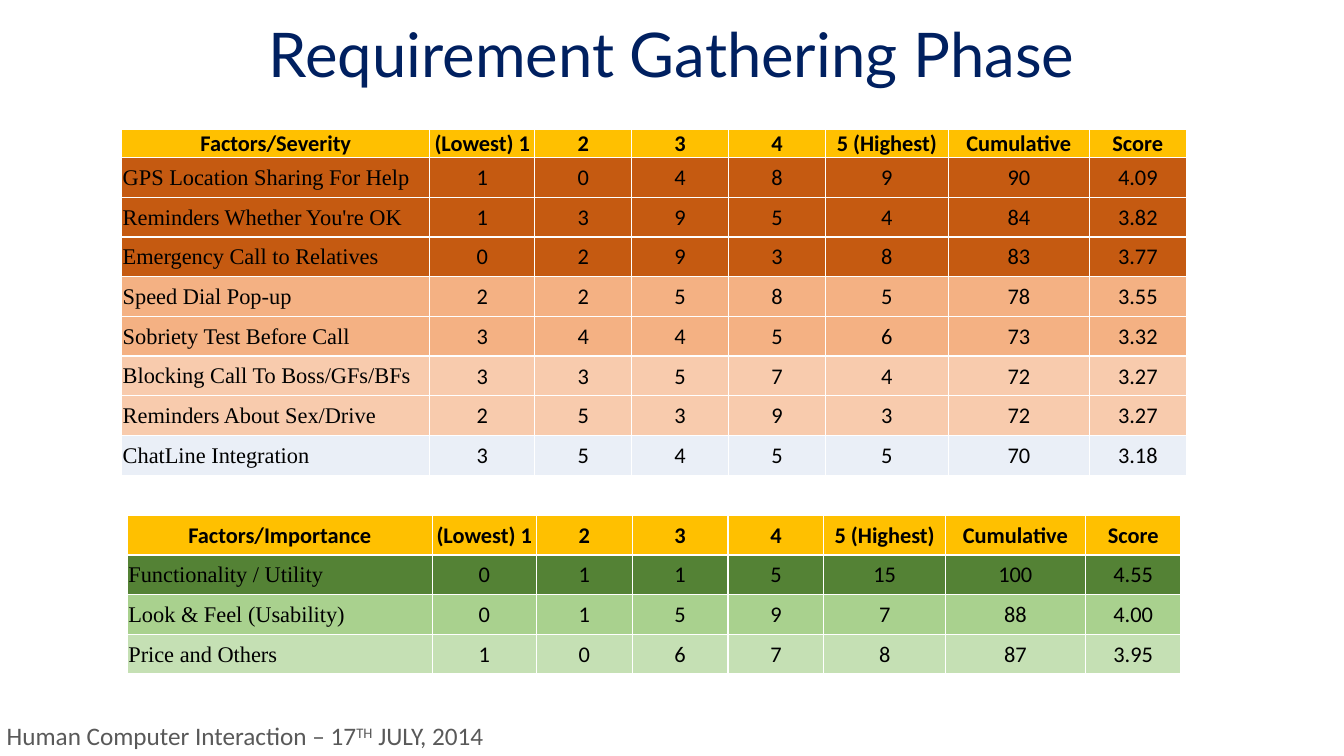
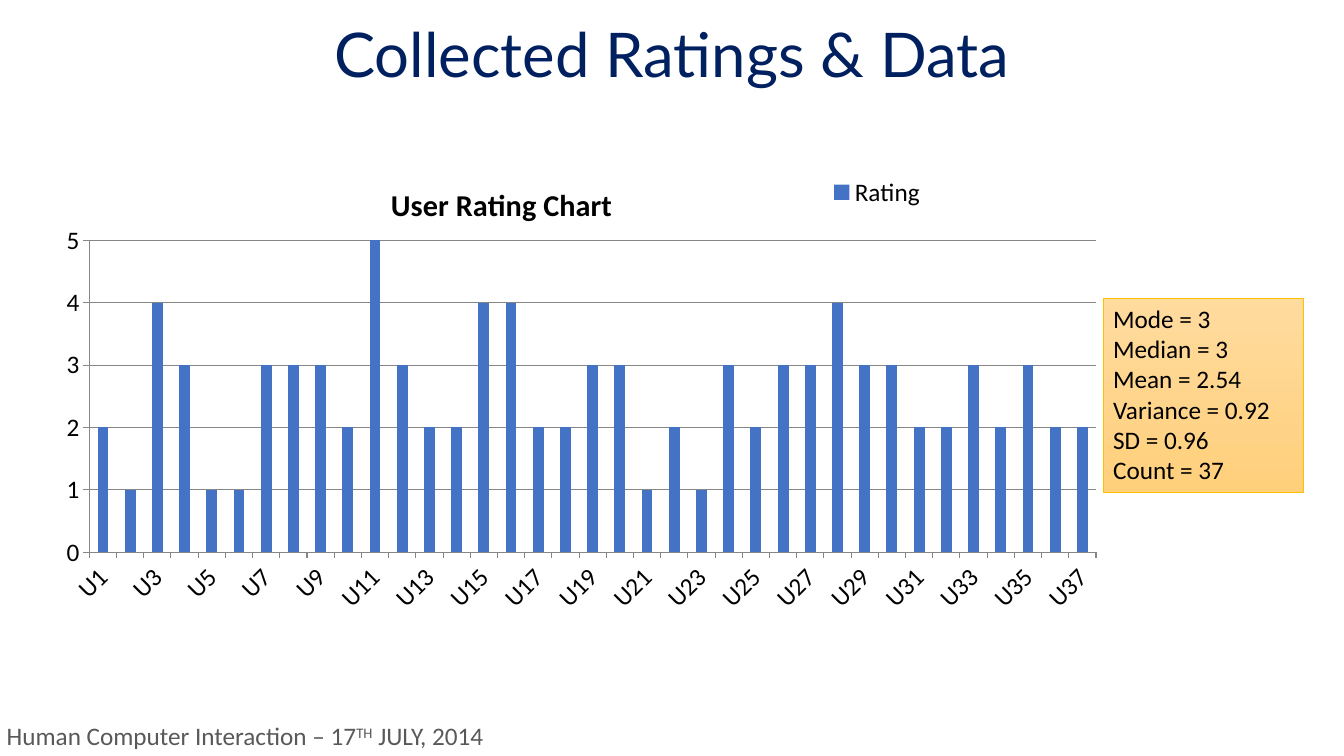
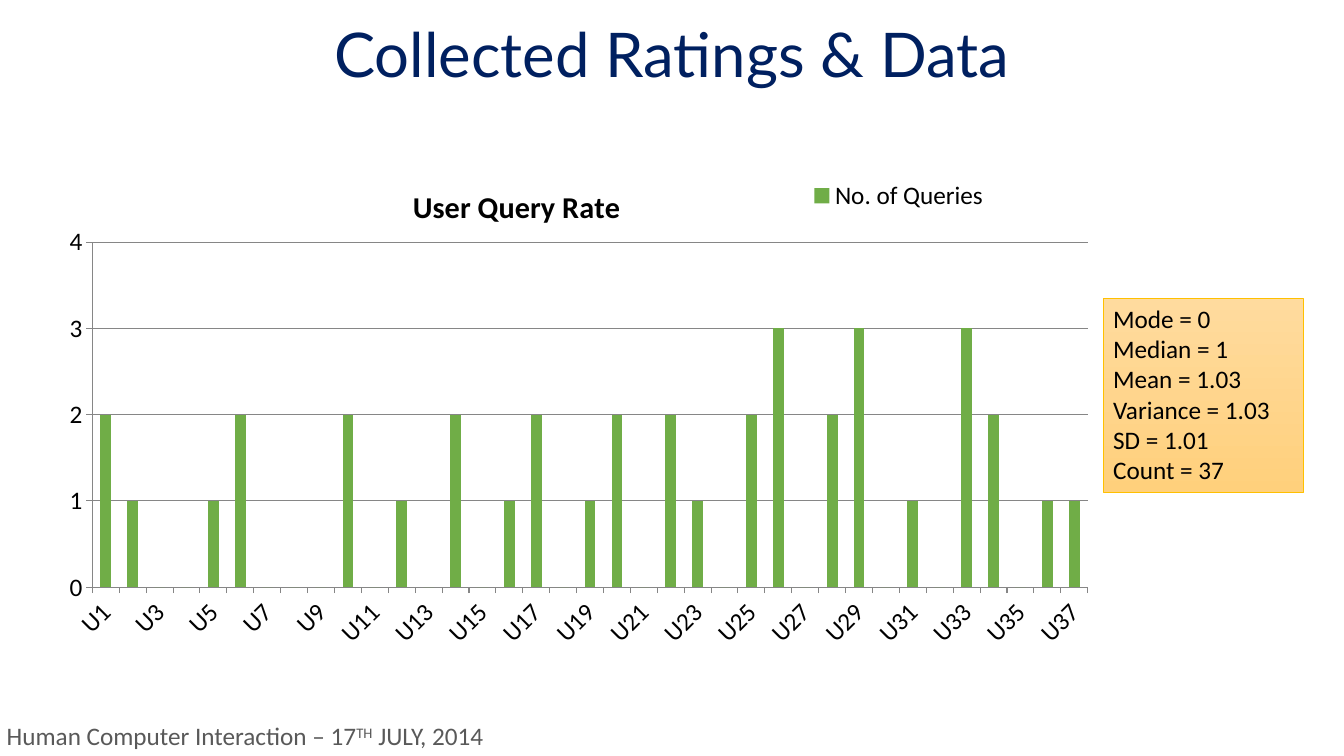
from lxml import etree
from pptx import Presentation
from pptx.chart import data as chart_data
from pptx.dml import color as dml
from pptx.enum import chart as kinds, shapes, text
from pptx.oxml import ns
from pptx.util import Pt

NAVY, GREY, BLACK, WHITE = "002060", "595959", "000000", "FFFFFF"
GOLD, AXIS_GREY = "FFC000", "868686"
BODY, TITLE, SERIF = "Calibri", "Lato", "Times New Roman"
COLUMN_WIDTHS = [220, 75, 69.2, 69.2, 69.2, 87.8, 100.8, 69.2]
SCALE_HEADS = ["(Lowest) 1", "2", "3", "4", "5 (Highest)", "Cumulative", "Score"]
STAT_NAMES = ["Mode", "Median", "Mean", "Variance", "SD", "Count"]
CENTER, LEFT = text.PP_ALIGN.CENTER, text.PP_ALIGN.LEFT

SEVERITY = [
    ("C55A11", "GPS Location Sharing For Help", "1 0 4 8 9 90 4.09"),
    ("C55A11", "Reminders Whether You're OK", "1 3 9 5 4 84 3.82"),
    ("C55A11", "Emergency Call to Relatives", "0 2 9 3 8 83 3.77"),
    ("F4B183", "Speed Dial Pop-up", "2 2 5 8 5 78 3.55"),
    ("F4B183", "Sobriety Test Before Call", "3 4 4 5 6 73 3.32"),
    ("F8CBAD", "Blocking Call To Boss/GFs/BFs", "3 3 5 7 4 72 3.27"),
    ("F8CBAD", "Reminders About Sex/Drive", "2 5 3 9 3 72 3.27"),
    ("EAEFF7", "ChatLine Integration", "3 5 4 5 5 70 3.18"),
]
IMPORTANCE = [
    ("548235", "Functionality / Utility", "0 1 1 5 15 100 4.55"),
    ("A9D18E", "Look & Feel (Usability)", "0 1 5 9 7 88 4.00"),
    ("C5E0B4", "Price and Others", "1 0 6 7 8 87 3.95"),
]
RATINGS = [2, 1, 4, 3, 1, 1, 3, 3, 3, 2, 5, 3, 2, 2, 4, 4, 2, 2, 3,
           3, 1, 2, 1, 3, 2, 3, 3, 4, 3, 3, 2, 2, 3, 2, 3, 2, 2]
QUERIES = [2, 1, 0, 0, 1, 2, 0, 0, 0, 2, 0, 1, 0, 2, 0, 1, 2, 0, 1,
           2, 0, 2, 1, 0, 2, 3, 0, 2, 3, 0, 1, 0, 3, 2, 0, 1, 1]


def rgb(value):
    return dml.RGBColor.from_string(value)


def points(*lengths):
    return [Pt(length) for length in lengths]


def style_font(font, size, name=BODY, color=BLACK, bold=False):
    font.size, font.name, font.bold = Pt(size), name, bold
    font.color.rgb = rgb(color)


def add_span(para, words, *style, raised=False):
    span = para.add_run()
    span.text = words
    style_font(span.font, *style)
    if raised:
        span.font._element.set("baseline", "30000")


def add_text_box(page, left, top, width, height):
    box = page.shapes.add_textbox(*points(left, top, width, height))
    box.text_frame.word_wrap = True
    box.text_frame.vertical_anchor = text.MSO_ANCHOR.MIDDLE
    para = box.text_frame.paragraphs[0]
    para.alignment = CENTER
    return para


def add_page(deck, title):
    page = deck.slides.add_slide(deck.slide_layouts[6])
    para = add_text_box(page, 66, 13, 828, 56)
    para.line_spacing = 0.9
    add_span(para, title, 44, TITLE, NAVY)
    para = add_text_box(page, -33, 511, 416, 29)
    add_span(para, "Human Computer Interaction – 17", 18, BODY, GREY)
    add_span(para, "TH", 18, BODY, GREY, raised=True)
    add_span(para, " JULY, 2014", 18, BODY, GREY)
    return page


def add_borders(cell):
    properties = cell._tc.get_or_add_tcPr()
    for index, side in enumerate(("lnL", "lnR", "lnT", "lnB")):
        line = etree.Element(ns.qn("a:" + side), w=str(Pt(1)))
        fill = etree.SubElement(line, ns.qn("a:solidFill"))
        etree.SubElement(fill, ns.qn("a:srgbClr"), val=WHITE)
        properties.insert(index, line)


def fill_cell(cell, words, fill, alignment, font=BODY, bold=False):
    cell.margin_left = cell.margin_top = cell.margin_right = Pt(0.7)
    cell.margin_bottom = 0
    cell.vertical_anchor = text.MSO_ANCHOR.MIDDLE
    cell.fill.solid()
    cell.fill.fore_color.rgb = rgb(fill)
    add_borders(cell)
    para = cell.text_frame.paragraphs[0]
    para.alignment = alignment
    add_span(para, words, 16, font, BLACK, bold)


def add_score_table(page, left, top, heading, factors, head_height, scale=1):
    widths = [width * scale for width in COLUMN_WIDTHS]
    row_height = 28.4
    height = head_height + row_height * len(factors)
    frame = page.shapes.add_table(len(factors) + 1, len(widths),
                                  *points(left, top, sum(widths), height))
    table = frame.table
    table.first_row = table.horz_banding = False
    for column, width in zip(table.columns, widths):
        column.width = Pt(width)
    for row in table.rows:
        row.height = Pt(row_height)
    table.rows[0].height = Pt(head_height)
    for column, head in enumerate([heading] + SCALE_HEADS):
        fill_cell(table.cell(0, column), head, GOLD, CENTER, bold=True)
    for row, (fill, factor, scores) in enumerate(factors, 1):
        fill_cell(table.cell(row, 0), factor, fill, LEFT, SERIF)
        for column, score in enumerate(scores.split(), 1):
            fill_cell(table.cell(row, column), score, fill, CENTER)


def place(part, inner=False, **fractions):
    for old in part.findall(ns.qn("c:layout")):
        part.remove(old)
    layout = etree.Element(ns.qn("c:layout"))
    manual = etree.SubElement(layout, ns.qn("c:manualLayout"))
    settings = {"layoutTarget": "inner"} if inner else {}
    settings.update(xMode="edge", yMode="edge", **fractions)
    for tag, value in settings.items():
        etree.SubElement(manual, ns.qn("c:" + tag), val=str(value))
    before = [child for child in part
              if child.tag in (ns.qn("c:tx"), ns.qn("c:legendPos"))]
    part.insert(len(before), layout)


def style_axis(axis):
    axis.major_tick_mark = kinds.XL_TICK_MARK.OUTSIDE
    axis.format.line.color.rgb = rgb(AXIS_GREY)
    style_font(axis.tick_labels.font, 18)


def add_user_chart(page, size, title, series_name, values, color,
                   plot_area, title_area, legend_area):
    source = chart_data.CategoryChartData()
    source.categories = [f"U{number}" for number in range(1, len(values) + 1)]
    source.add_series(series_name, values)
    chart = page.shapes.add_chart(kinds.XL_CHART_TYPE.COLUMN_CLUSTERED,
                                  *points(30, 103, *size), source).chart
    style_font(chart.font, 18)
    chart.has_title = True
    add_span(chart.chart_title.text_frame.paragraphs[0], title,
             21.6, BODY, BLACK, True)
    chart.has_legend = True
    chart.legend.position = kinds.XL_LEGEND_POSITION.RIGHT
    chart.legend.include_in_layout = False
    style_font(chart.legend.font, 18)

    plot = chart.plots[0]
    plot.gap_width = 150
    plot.vary_by_categories = False
    bars = plot.series[0].format.fill
    bars.solid()
    bars.fore_color.rgb = rgb(color)

    style_axis(chart.category_axis)
    labels = chart.category_axis._element.find(ns.qn("c:txPr"))
    labels.find(ns.qn("a:bodyPr")).set("rot", "-2700000")
    scale = chart.value_axis
    style_axis(scale)
    scale.minimum_scale, scale.maximum_scale = 0, max(values + [4])
    scale.major_unit = 1
    scale.has_major_gridlines = True
    scale.major_gridlines.format.line.color.rgb = rgb(AXIS_GREY)

    place(chart._chartSpace.chart.plotArea, inner=True, **plot_area)
    place(chart.chart_title._element, **title_area)
    place(chart.legend._element, **legend_area)


def add_stats(page, values):
    box = page.shapes.add_shape(shapes.MSO_SHAPE.RECTANGLE,
                                *points(788, 213, 143, 138.5))
    box.shadow.inherit = False
    box.fill.gradient()
    box.fill.gradient_angle = 270
    for stop, color in zip(box.fill.gradient_stops, ("FFDB9E", "FFD07C")):
        stop.color.rgb = rgb(color)
    box.line.color.rgb = rgb(GOLD)
    box.line.width = Pt(0.5)
    frame = box.text_frame
    frame.word_wrap = True
    frame.vertical_anchor = text.MSO_ANCHOR.TOP
    for index, (name, value) in enumerate(zip(STAT_NAMES, values.split())):
        para = frame.add_paragraph() if index else frame.paragraphs[0]
        para.alignment = LEFT
        add_span(para, f"{name} = {value}", 18)


def main():
    deck = Presentation()
    deck.slide_width, deck.slide_height = points(960, 540)

    page = add_page(deck, "Requirement Gathering Phase")
    add_score_table(page, 87, 92.5, "Factors/Severity", SEVERITY, 20)
    add_score_table(page, 91, 368, "Factors/Importance", IMPORTANCE, 28.4, 0.99)

    page = add_page(deck, "Collected Ratings & Data")
    add_user_chart(page, (846, 343), "User Rating Chart", "Rating", RATINGS, "4472C4",
                   dict(x=0.04, y=0.2, w=0.85, h=0.65),
                   dict(x=0.29, y=0.07),
                   dict(x=0.66, y=0.06, w=0.09, h=0.08))
    add_stats(page, "3 3 2.54 0.92 0.96 37")

    page = add_page(deck, "Collected Ratings & Data")
    add_user_chart(page, (900, 368), "User Query Rate", "No. of Queries", QUERIES, "70AD47",
                   dict(x=0.04, y=0.19, w=0.79, h=0.67),
                   dict(x=0.29, y=0.07),
                   dict(x=0.6, y=0.06, w=0.16, h=0.08))
    add_stats(page, "0 1 1.03 1.03 1.01 37")

    deck.save("out.pptx")


if __name__ == "__main__":
    main()
